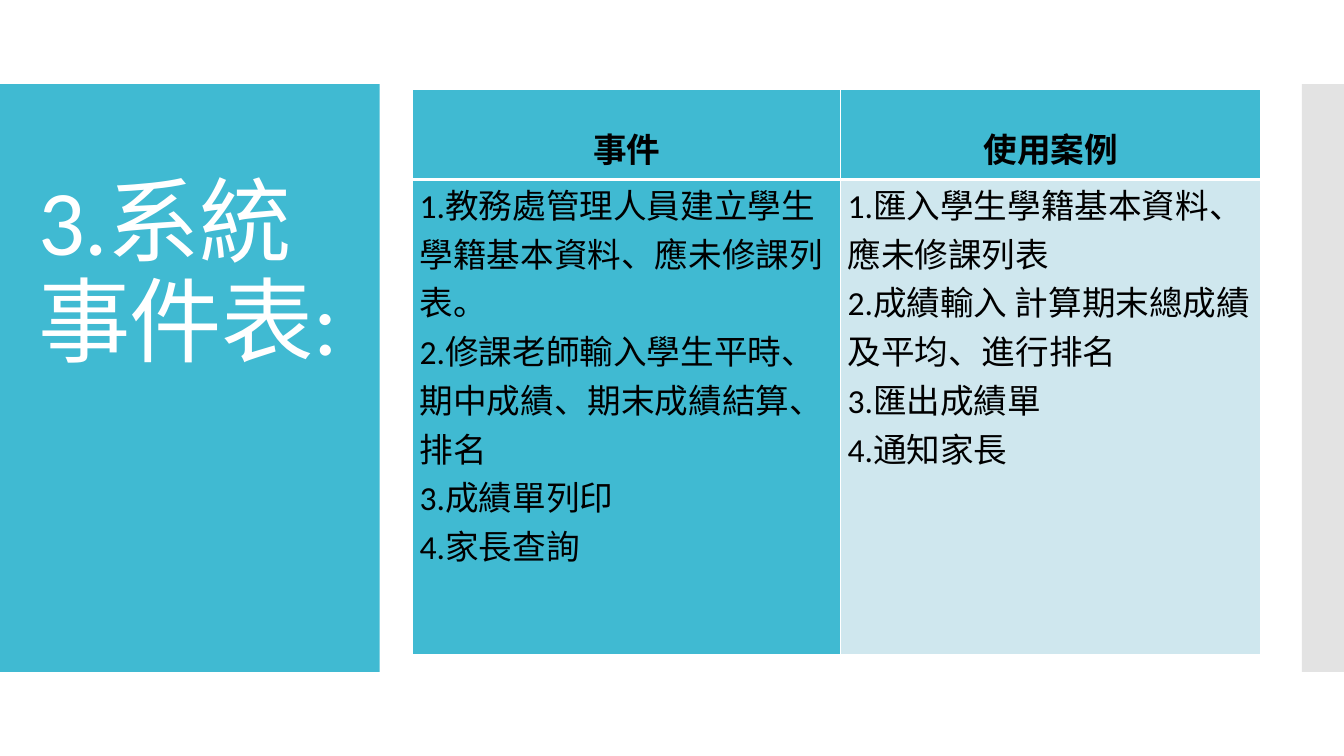
from dataclasses import dataclass

import lxml.etree
import pptx
import pptx.dml.color
import pptx.enum.shapes
import pptx.enum.text
import pptx.oxml.ns
import pptx.util

Pt = pptx.util.Pt
qn = pptx.oxml.ns.qn


@dataclass(frozen=True)
class Theme:
    accent: str = "40BAD2"
    pale: str = "CFE7EE"
    edge: str = "C8C8C8"
    white: str = "FFFFFF"
    ink: str = "000000"
    font: str = "Calibri"
    title_size: float = 66
    table_size: float = 24


@dataclass(frozen=True)
class Panel:
    left: float
    width: float
    color: str
    opacity: int = 100


@dataclass(frozen=True)
class EventCell:
    row: int
    column: int
    lines: tuple[str, ...]
    fill: str
    header: bool = False


THEME = Theme()
PANEL_TOP, PANEL_HEIGHT = 60, 420
COLUMN_WIDTHS = (305.6, 300.4)
ROW_HEIGHTS = (64, 339.2)
HEADER_DROP = 24.4

PANELS = (
    Panel(0, 271.2, THEME.accent),
    Panel(930, 30, THEME.edge, 50),
)

EVENT_CELLS = (
    EventCell(0, 0, ("事件",), THEME.accent, True),
    EventCell(0, 1, ("使用案例",), THEME.accent, True),
    EventCell(1, 0, (
        "1.教務處管理人員建立學生學籍基本資料、應未修課列表。",
        "2.修課老師輸入學生平時、期中成績、期末成績結算、排名",
        "3.成績單列印",
        "4.家長查詢",
    ), THEME.accent),
    EventCell(1, 1, (
        "1.匯入學生學籍基本資料、應未修課列表",
        "2.成績輸入 計算期末總成績及平均、進行排名",
        "3.匯出成績單",
        "4.通知家長",
    ), THEME.pale),
)


def rgb(color: str) -> pptx.dml.color.RGBColor:
    return pptx.dml.color.RGBColor.from_string(color)


def add_run(paragraph, text: str, size: float, color: str, bold: bool = False):
    run = paragraph.add_run()
    run.text = text
    run.font.name = THEME.font
    run.font.size = Pt(size)
    run.font.bold = bold
    run.font.color.rgb = rgb(color)
    return run


def draw_panel(slide, panel: Panel) -> None:
    band = slide.shapes.add_shape(
        pptx.enum.shapes.MSO_SHAPE.RECTANGLE,
        Pt(panel.left), Pt(PANEL_TOP), Pt(panel.width), Pt(PANEL_HEIGHT))
    band.shadow.inherit = False
    band.line.fill.background()
    band.fill.solid()
    band.fill.fore_color.rgb = rgb(panel.color)
    if panel.opacity < 100:
        tint = band.element.spPr.find(qn("a:solidFill")).find(qn("a:srgbClr"))
        lxml.etree.SubElement(tint, qn("a:alpha"), val=str(panel.opacity * 1000))


def draw_title(slide) -> None:
    heading = slide.shapes.add_textbox(Pt(20.2), Pt(88.6), Pt(231.8), Pt(362))
    frame = heading.text_frame
    frame.word_wrap = True
    frame.vertical_anchor = pptx.enum.text.MSO_ANCHOR.TOP
    frame.margin_top = Pt(37)
    paragraph = frame.paragraphs[0]
    paragraph.line_spacing = 0.9
    run = add_run(paragraph, "3.系統事件表:", THEME.title_size, THEME.white)
    run.font.element.set("spc", "-60") if hasattr(run.font, "element") else \
        run._r.get_or_add_rPr().set("spc", "-60")


def set_border(properties, side: str, width: float) -> None:
    border = lxml.etree.SubElement(properties, qn(f"a:{side}"), w=str(Pt(width)))
    fill = lxml.etree.SubElement(border, qn("a:solidFill"))
    lxml.etree.SubElement(fill, qn("a:srgbClr"), val=THEME.white)


def fill_cell(table, content: EventCell) -> None:
    cell = table.cell(content.row, content.column)
    cell.margin_left = cell.margin_right = Pt(5)
    cell.margin_top = Pt(HEADER_DROP if content.header else 0)
    cell.margin_bottom = Pt(0)
    properties = cell._tc.get_or_add_tcPr()
    for side in ("lnL", "lnR", "lnT", "lnB"):
        divides_rows = side == ("lnB" if content.header else "lnT")
        set_border(properties, side, 3 if divides_rows else 1)
    cell.fill.solid()
    cell.fill.fore_color.rgb = rgb(content.fill)
    alignment = pptx.enum.text.PP_ALIGN
    frame = cell.text_frame
    for index, line in enumerate(content.lines):
        paragraph = frame.add_paragraph() if index else frame.paragraphs[0]
        paragraph.alignment = alignment.CENTER if content.header else alignment.LEFT
        add_run(paragraph, line, THEME.table_size, THEME.ink, content.header)


def draw_event_table(slide) -> None:
    table = slide.shapes.add_table(
        len(ROW_HEIGHTS), len(COLUMN_WIDTHS), Pt(294.8), Pt(64.2),
        Pt(sum(COLUMN_WIDTHS)), Pt(sum(ROW_HEIGHTS))).table
    table.horz_banding = False
    for column, width in zip(table.columns, COLUMN_WIDTHS):
        column.width = Pt(width)
    for row, height in zip(table.rows, ROW_HEIGHTS):
        row.height = Pt(height)
    for content in EVENT_CELLS:
        fill_cell(table, content)


def main() -> None:
    presentation = pptx.Presentation()
    presentation.slide_width = Pt(960)
    presentation.slide_height = Pt(540)
    slide = presentation.slides.add_slide(presentation.slide_layouts[6])
    for panel in PANELS:
        draw_panel(slide, panel)
    draw_title(slide)
    draw_event_table(slide)
    presentation.save("out.pptx")


if __name__ == "__main__":
    main()
